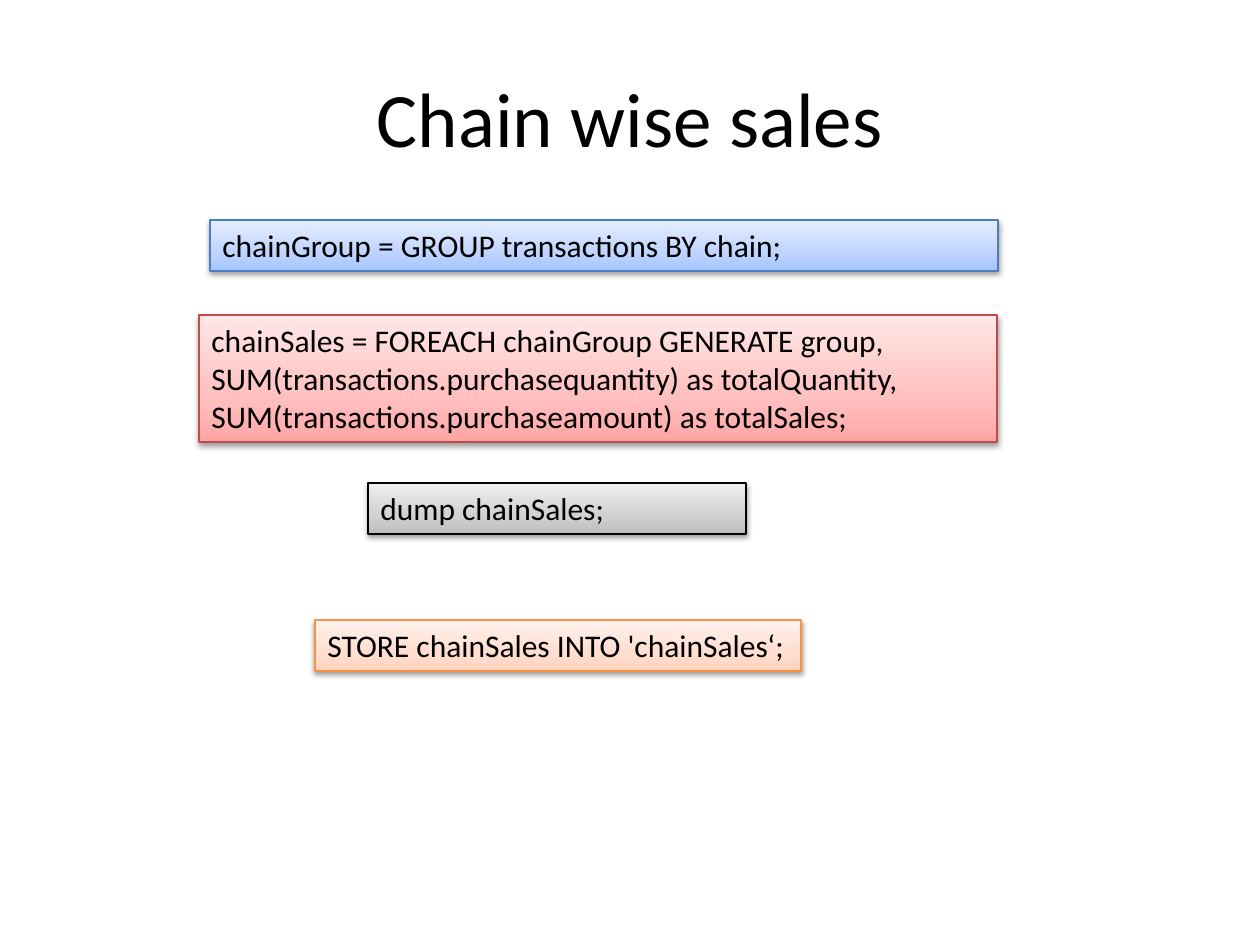
import pptx
import pptx.dml.color
import pptx.enum.text
import pptx.oxml
import pptx.oxml.ns
import pptx.util

EMU_PER_PX = 914400 / 126
FONT = "Calibri"
COLORS = {
    "text": "000000",
    "shadow": "000000",
    "blue_line": "4B7EBC",
    "red_line": "BF4C48",
    "gray_line": "000000",
    "orange_line": "F69240",
}
GRADIENTS = {
    "blue": ("A4C4FF", "BFD4FF", "E6EEFF"),
    "red": ("FFA6A5", "FFC0BF", "FFE7E7"),
    "gray": ("BDBDBD", "D1D1D1", "EEEEEE"),
    "orange": ("FFD2BD", "FFDED0", "FFF2ED"),
}
STOPS = (0, 35, 100)
LINE_HEIGHT = 38
BOX_PADDING = 13

# theme, left, top, width, text lines, wrap, statement
STATEMENTS = [
    ("blue", 210, 220, 788, 1, True, "chainGroup = GROUP transactions BY chain;"),
    ("red", 199, 315, 798, 3, True,
     "chainSales = FOREACH chainGroup GENERATE group, "
     "SUM(transactions.purchasequantity) as totalQuantity, "
     "SUM(transactions.purchaseamount) as totalSales;"),
    ("gray", 368, 483, 378, 1, True, "dump chainSales;"),
    ("orange", 315, 620, 486, 1, False, "STORE chainSales INTO 'chainSales‘;"),
]


def px(n):
    return pptx.util.Emu(round(n * EMU_PER_PX))


def rgb(name):
    return pptx.dml.color.RGBColor.from_string(COLORS[name])


def add_xml(parent, xml):
    ns = pptx.oxml.ns.nsdecls("a")
    tag, rest = xml.split(" ", 1)
    parent.append(pptx.oxml.parse_xml(f"{tag} {ns} {rest}"))


def format_text(tf, size):
    for p in tf.paragraphs:
        for r in p.runs:
            r.font.name = FONT
            r.font.size = pptx.util.Pt(size)
            r.font.color.rgb = rgb("text")


def fill_gradient(sp, colors):
    """Fill from the bottom edge upwards with three stops."""
    sp.fill.gradient()
    sp.fill.gradient_angle = 90
    stops = sp._element.spPr.find(".//" + pptx.oxml.ns.qn("a:gsLst"))
    stops.clear()
    for pos, color in zip(STOPS, colors):
        add_xml(stops, f'<a:gs pos="{pos * 1000}"><a:srgbClr val="{color}"/></a:gs>')


def add_shadow(sp):
    sp.shadow.inherit = False
    effects = sp._element.spPr.find(pptx.oxml.ns.qn("a:effectLst"))
    add_xml(effects, '<a:outerShdw blurRad="40000" dist="20000" dir="5400000" rotWithShape="0">'
                     f'<a:srgbClr val="{COLORS["shadow"]}"><a:alpha val="38000"/></a:srgbClr>'
                     '</a:outerShdw>')


def add_title(s, text):
    sp = s.shapes.title
    sp.left, sp.top, sp.width, sp.height = px(63), px(38), px(1134), px(157)
    tf = sp.text_frame
    tf.text = text
    tf.vertical_anchor = pptx.enum.text.MSO_ANCHOR.MIDDLE
    tf.paragraphs[0].alignment = pptx.enum.text.PP_ALIGN.CENTER
    format_text(tf, 44)


def add_statement(s, theme, left, top, width, lines, wrap, text):
    height = lines * LINE_HEIGHT + BOX_PADDING
    sp = s.shapes.add_textbox(px(left), px(top), px(width), px(height))
    fill_gradient(sp, GRADIENTS[theme])
    sp.line.color.rgb = rgb(f"{theme}_line")
    sp.line.width = pptx.util.Pt(0.75)
    add_shadow(sp)
    tf = sp.text_frame
    tf.text = text
    tf.word_wrap = wrap
    tf.auto_size = pptx.enum.text.MSO_AUTO_SIZE.SHAPE_TO_FIT_TEXT
    format_text(tf, 18)


def main():
    prs = pptx.Presentation()
    prs.slide_width, prs.slide_height = px(1260), px(945)
    s = prs.slides.add_slide(prs.slide_layouts.get_by_name("Title Only"))
    add_title(s, "Chain wise sales")
    for statement in STATEMENTS:
        add_statement(s, *statement)
    prs.save("out.pptx")


if __name__ == "__main__":
    main()
